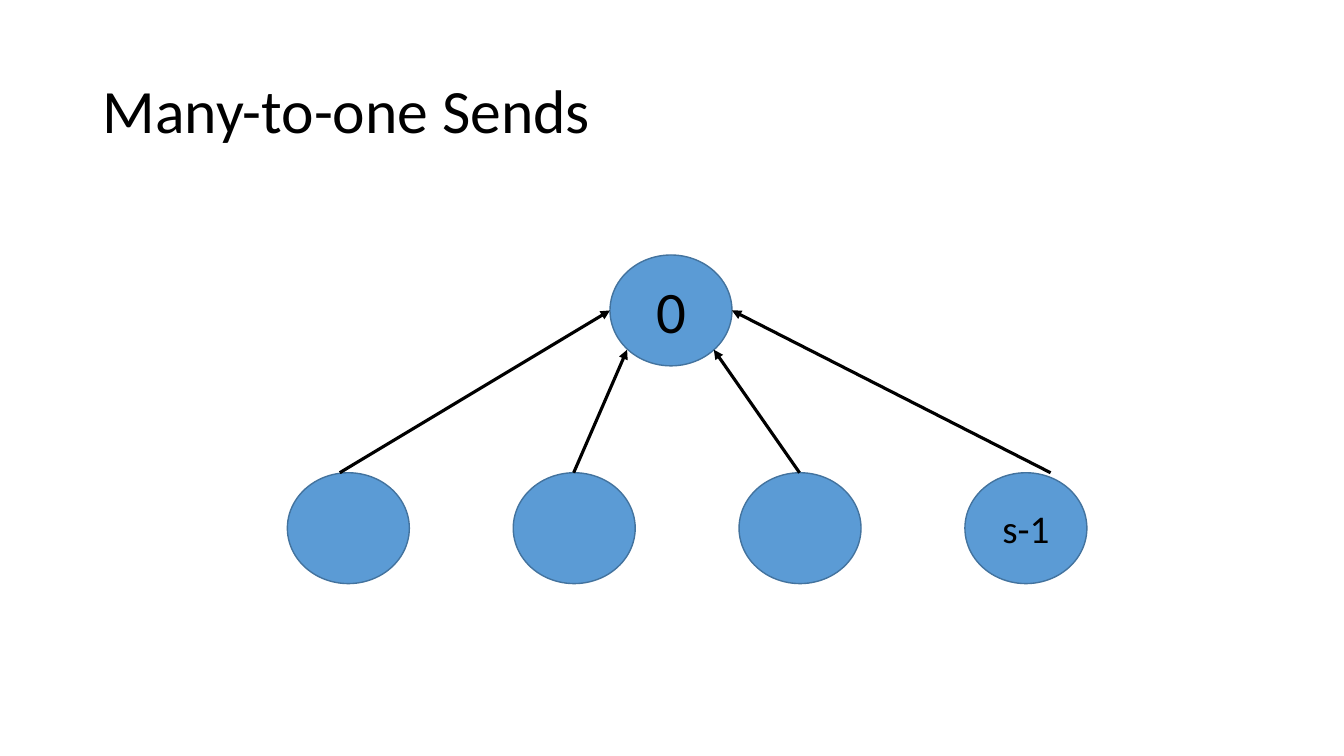
"""Build a slide showing several processes sending to process 0."""
from pptx import Presentation
from pptx.dml.color import RGBColor
from pptx.enum import shapes, text
from pptx.oxml.ns import qn
from pptx.util import Inches, Pt
from lxml import etree

BLACK = RGBColor(0x00, 0x00, 0x00)
NODE_FILL = RGBColor(0x5B, 0x9B, 0xD5)
NODE_LINE = RGBColor(0x43, 0x73, 0x9E)

NODE_WIDTH, NODE_HEIGHT = 1.21, 1.1
SENDER_LEFT, SENDER_TOP, SENDER_STEP = 2.85, 4.69, 2.24


def write_text(shape, content, size, alignment, line_spacing=1.0):
    frame = shape.text_frame
    frame.word_wrap = True
    frame.vertical_anchor = text.MSO_ANCHOR.MIDDLE
    paragraph = frame.paragraphs[0]
    paragraph.alignment = alignment
    paragraph.line_spacing = line_spacing
    run = paragraph.add_run()
    run.text = content
    run.font.name = "Calibri"
    run.font.size = Pt(size)
    run.font.color.rgb = BLACK


presentation = Presentation()
presentation.slide_width = Inches(13.33)
presentation.slide_height = Inches(7.5)
slide = presentation.slides.add_slide(presentation.slide_layouts[6])

title = slide.shapes.add_textbox(Inches(0.92), Inches(0.4), Inches(11.5), Inches(1.45))
write_text(title, "Many-to-one Sends", size=44, alignment=text.PP_ALIGN.LEFT, line_spacing=0.9)

nodes = [(6.05, 2.53, "0", 42)]
for index, label in enumerate(["", "", "", "s-1"]):
    nodes.append((SENDER_LEFT + index * SENDER_STEP, SENDER_TOP, label, 28))

for left, top, label, size in nodes:
    node = slide.shapes.add_shape(
        shapes.MSO_SHAPE.OVAL, Inches(left), Inches(top), Inches(NODE_WIDTH), Inches(NODE_HEIGHT)
    )
    node.shadow.inherit = False
    node.fill.solid()
    node.fill.fore_color.rgb = NODE_FILL
    node.line.color.rgb = NODE_LINE
    node.line.width = Pt(1)
    if label:
        write_text(node, label, size=size, alignment=text.PP_ALIGN.CENTER)

sends = [(3.37, 6.05, 3.08), (5.69, 6.22, 3.47), (7.93, 7.08, 3.47), (10.42, 7.26, 3.08)]
for start_x, end_x, end_y in sends:
    arrow = slide.shapes.add_connector(
        shapes.MSO_CONNECTOR.STRAIGHT,
        Inches(start_x), Inches(SENDER_TOP), Inches(end_x), Inches(end_y),
    )
    arrow.line.color.rgb = BLACK
    arrow.line.width = Pt(2.25)
    etree.SubElement(arrow.line._get_or_add_ln(), qn("a:tailEnd"), type="triangle")
    etree.SubElement(arrow._element.spPr, qn("a:effectLst"))

presentation.save("out.pptx")
